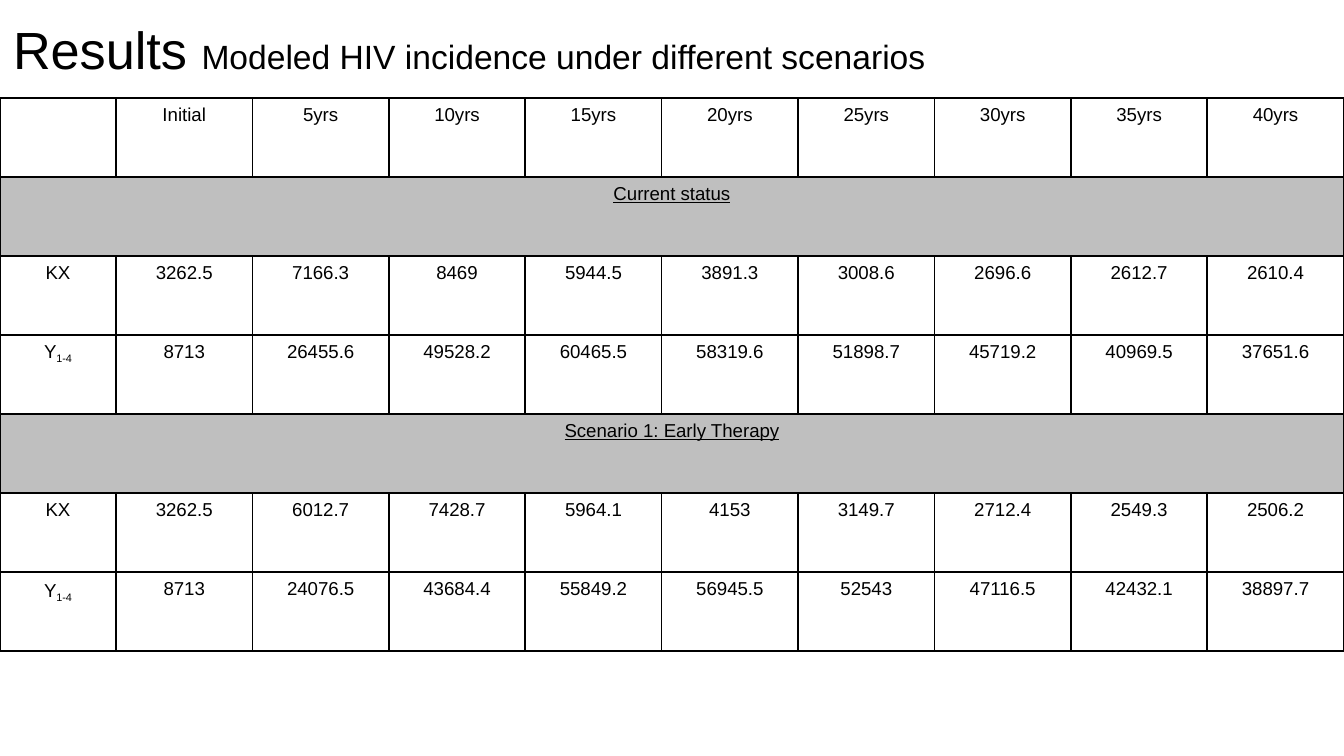
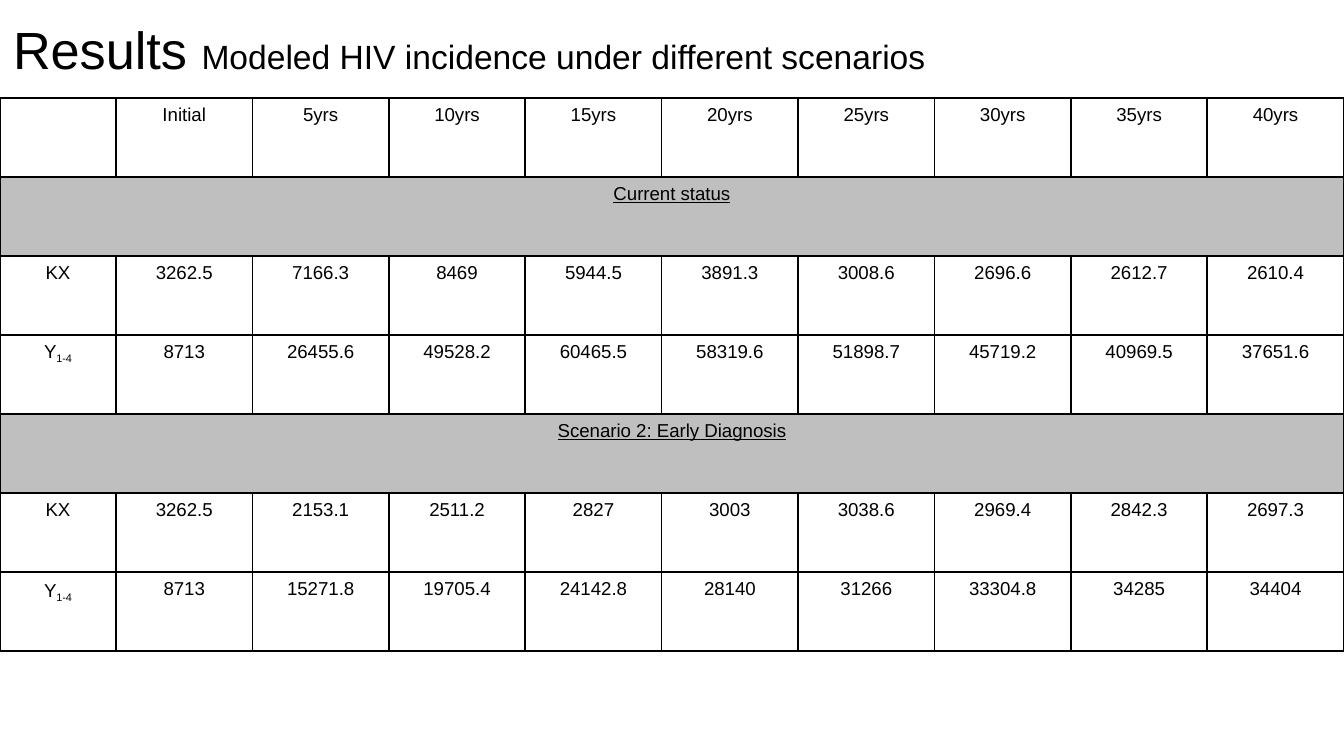
import pptx
import pptx.util
import pptx.dml.color
import pptx.enum.text
import pptx.oxml
import pptx.oxml.ns

PX = 914400 / 134.4
SLIDE_W, SLIDE_H = 1344, 756
TITLE_BOX = (0, 0, SLIDE_W, 98)
TABLE_BOX = (0, 98, SLIDE_W, 553)
LABEL_W = 116
TITLE_INSET, CELL_INSET_X, CELL_INSET_Y = 13, 9, 13
FONT = "Arial"
COLORS = {"ink": "000000", "band": "BFBFBF"}
# Line spacing, points before, points after
REGULAR = (0.64, 12, 12)
TIGHT = (0.54, 0, 10)

PERIODS = ["Initial"] + [f"{years}yrs" for years in range(5, 45, 5)]
CURRENT = (
    "Current status",
    "3262.5 7166.3 8469 5944.5 3891.3 3008.6 2696.6 2612.7 2610.4",
    "8713 26455.6 49528.2 60465.5 58319.6 51898.7 45719.2 40969.5 37651.6",
)
SCENARIOS = [
    (
        "Scenario 1: Early Therapy",
        "3262.5 6012.7 7428.7 5964.1 4153 3149.7 2712.4 2549.3 2506.2",
        "8713 24076.5 43684.4 55849.2 56945.5 52543 47116.5 42432.1 38897.7",
    ),
    (
        "Scenario 2: Early Diagnosis",
        "3262.5 2153.1 2511.2 2827 3003 3038.6 2969.4 2842.3 2697.3",
        "8713 15271.8 19705.4 24142.8 28140 31266 33304.8 34285 34404",
    ),
]


def px(length):
    return pptx.util.Emu(round(length * PX))


def color(name):
    return pptx.dml.color.RGBColor.from_string(COLORS[name])


def add_run(paragraph, text, size, underline=False, baseline=0):
    run = paragraph.add_run()
    run.text = text
    run.font.name = FONT
    run.font.size = pptx.util.Pt(size)
    run.font.color.rgb = color("ink")
    if underline:
        run.font.underline = True
    if baseline:
        run.font._element.set("baseline", str(baseline * 1000))


def add_title(slide, box):
    title = slide.shapes.title
    title.left, title.top, title.width, title.height = map(px, box)
    frame = title.text_frame
    frame.margin_left = frame.margin_right = px(TITLE_INSET)
    frame.margin_top = frame.margin_bottom = px(TITLE_INSET)
    frame.vertical_anchor = pptx.enum.text.MSO_ANCHOR.MIDDLE
    frame.auto_size = pptx.enum.text.MSO_AUTO_SIZE.NONE
    heading = frame.paragraphs[0]
    heading.alignment = pptx.enum.text.PP_ALIGN.LEFT
    add_run(heading, "Results ", 28)
    add_run(heading, "Modeled HIV incidence under different scenarios", 18)


def style_cell(cell, fill=None):
    """Give the cell its insets, black borders and fill."""
    cell.margin_left = cell.margin_right = px(CELL_INSET_X)
    cell.margin_top = cell.margin_bottom = px(CELL_INSET_Y)
    properties = cell._tc.get_or_add_tcPr()
    for side in ("lnL", "lnR", "lnT", "lnB"):
        properties.append(pptx.oxml.parse_xml(
            f'<a:{side} {pptx.oxml.ns.nsdecls("a")} w="{pptx.util.Pt(1)}">'
            f'<a:solidFill><a:srgbClr val="{COLORS["ink"]}"/></a:solidFill>'
            f'</a:{side}>'))
    if fill:
        cell.fill.solid()
        cell.fill.fore_color.rgb = color(fill)
    else:
        cell.fill.background()


def write_cell(cell, text, subscript="", underline=False, spacing=REGULAR):
    paragraph = cell.text_frame.paragraphs[0]
    paragraph.alignment = pptx.enum.text.PP_ALIGN.CENTER
    paragraph.line_spacing, before, after = spacing
    paragraph.space_before = pptx.util.Pt(before)
    paragraph.space_after = pptx.util.Pt(after)
    add_run(paragraph, text, 10, underline)
    if subscript:
        add_run(paragraph, subscript, 10, baseline=-25)


def write_values(table, row, values):
    for column, value in enumerate(values, start=1):
        write_cell(table.cell(row, column), value)


def write_section(table, top_row, section, y_spacing):
    """Fill a band row and the KX and Y rows below it."""
    heading, kx_values, y_values = section
    band = table.cell(top_row, 0)
    band.merge(table.cell(top_row, len(PERIODS)))
    write_cell(band, heading, underline=True)
    write_cell(table.cell(top_row + 1, 0), "KX")
    write_values(table, top_row + 1, kx_values.split())
    write_cell(table.cell(top_row + 2, 0), "Y", "1-4", spacing=y_spacing)
    write_values(table, top_row + 2, y_values.split())


def add_incidence_table(slide, box, scenario):
    left, top, width, height = box
    band_rows = (1, 4)
    row_count = 7
    table = slide.shapes.add_table(
        row_count, len(PERIODS) + 1, *map(px, box)).table
    table.first_row = table.horz_banding = False
    for index, column in enumerate(table.columns):
        column.width = px((width - LABEL_W) / len(PERIODS) if index else LABEL_W)
    for index, row in enumerate(table.rows):
        row.height = px(height / row_count)
        for cell in row.cells:
            style_cell(cell, "band" if index in band_rows else None)
    write_values(table, 0, PERIODS)
    write_section(table, band_rows[0], CURRENT, TIGHT)
    write_section(table, band_rows[1], scenario, REGULAR)


def add_results_slide(deck, scenario):
    slide = deck.slides.add_slide(deck.slide_layouts[5])
    add_incidence_table(slide, TABLE_BOX, scenario)
    add_title(slide, TITLE_BOX)


def main():
    deck = pptx.Presentation()
    deck.slide_width, deck.slide_height = px(SLIDE_W), px(SLIDE_H)
    for scenario in SCENARIOS:
        add_results_slide(deck, scenario)
    deck.save("out.pptx")


if __name__ == "__main__":
    main()
